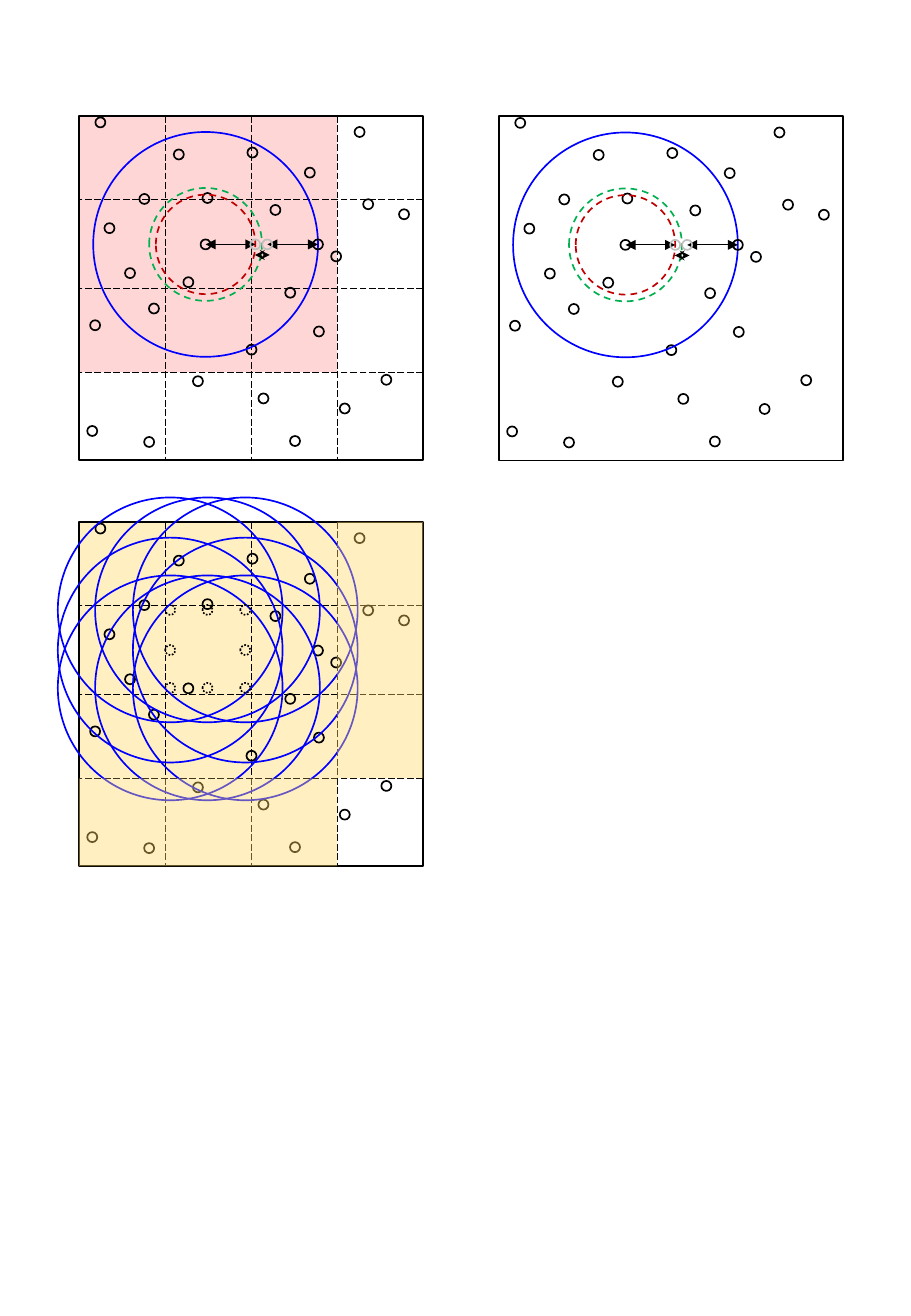
from pptx import Presentation
from pptx.dml.color import RGBColor
from pptx.enum.dml import MSO_LINE
from pptx.enum.shapes import MSO_CONNECTOR, MSO_SHAPE
from pptx.oxml.ns import qn
from pptx.util import Cm, Pt
from lxml.etree import SubElement

# All lengths are centimetres; panel contents are relative to the panel's corner.
SIDE = 7.2
DOT = 0.21
CUTOFF = 4.7
COLUMNS = [SIDE / 4, SIDE / 2, SIDE * 3 / 4]
ROWS = [1.74, SIDE / 2, 5.36]
CENTRE = (2.65, 2.69)
NEIGHBOUR = (5.0, 2.69)
PROBES = [(3.69, 2.69), (3.94, 2.69)]
PARTICLES = [
    (4.42, 3.7), (1.37, 1.74), (1.57, 4.03), (3.63, 0.77), (6.43, 5.52),
    (6.05, 1.85), (2.29, 3.48), (3.61, 4.89), (4.11, 1.97), (0.45, 0.14),
    (0.34, 4.38), (5.87, 0.34), (5.38, 2.94), (6.8, 2.06), (5.02, 4.51),
    (5.56, 6.12), (3.86, 5.91), (1.47, 6.82), (0.28, 6.59), (2.49, 5.55),
    (1.07, 3.29), (2.69, 1.72), (2.09, 0.81), (0.64, 2.35), (4.83, 1.19),
    (4.52, 6.8),
]
GHOST_X = (1.91, 2.69, 3.48)
GHOST_Y = (1.84, 2.68, 3.47)
BLACK, BLUE, RED, GREEN, GREY = "000000", "0000FF", "C00000", "00B050", "BFBFBF"
PINK, YELLOW = "FF9999", "FFD966"


def rgb(hex_text):
    return RGBColor.from_string(hex_text)


def outline(line, color, width, dash=None):
    line.color.rgb = rgb(color)
    line.width = Pt(width)
    if dash is not None:
        line.dash_style = dash


def add_shape(grp, kind, x, y, w, h, color=None, dash=None, tint=None):
    """Add a shape with a 1 pt outline, or with a 40 % opaque tint."""
    sp = grp.shapes.add_shape(kind, Cm(x), Cm(y), Cm(w), Cm(h))
    sp.shadow.inherit = False
    if tint:
        sp.fill.solid()
        sp.fill.fore_color.rgb = rgb(tint)
        clr = sp._element.spPr.find(qn("a:solidFill")).find(qn("a:srgbClr"))
        SubElement(clr, qn("a:alpha")).set("val", "40000")
    else:
        sp.fill.background()
    if color:
        outline(sp.line, color, 1, dash)
    else:
        sp.line.fill.background()
    return sp


def add_circle(grp, box, centre, size, color, dash=None):
    x, y = (b + c - size / 2 for b, c in zip(box, centre))
    add_shape(grp, MSO_SHAPE.OVAL, x, y, size, size, color, dash)


def add_line(grp, box, start, end, dash=None, arrow=None):
    left, top = box
    cn = grp.shapes.add_connector(
        MSO_CONNECTOR.STRAIGHT, Cm(left + start[0]), Cm(top + start[1]),
        Cm(left + end[0]), Cm(top + end[1]))
    outline(cn.line, BLACK, 0.5, dash)
    if arrow:
        ln = cn._element.spPr.find(qn("a:ln"))
        for tag in ("a:headEnd", "a:tailEnd"):
            SubElement(ln, qn(tag)).set("type", arrow)
    SubElement(cn._element.spPr, qn("a:effectLst"))
    return cn


def add_tint(grp, box, x, y, w, h, color):
    add_shape(grp, MSO_SHAPE.RECTANGLE, box[0] + x, box[1] + y, w, h, tint=color)


def add_particles(grp, box):
    """Add the square frame with its particles and return the frame."""
    frame = add_shape(grp, MSO_SHAPE.RECTANGLE, *box, SIDE, SIDE, BLACK)
    for particle in PARTICLES:
        add_circle(grp, box, particle, DOT, BLACK)
    return frame


def add_grid(grp, box, frame):
    """Divide the frame into cells."""
    lines = [((x, 0), (x, SIDE), (0, 2)) for x in COLUMNS]
    lines += [((SIDE, y), (0, y), (3, 1)) for y in ROWS]
    for start, end, sites in lines:
        cn = add_line(grp, box, start, end, MSO_LINE.LONG_DASH)
        if SIDE / 2 in (start[0], start[1]):
            cn.begin_connect(frame, sites[0])
            cn.end_connect(frame, sites[1])


def add_search(grp, box):
    """Add the cutoff rings around the central particle and their distances."""
    add_circle(grp, box, CENTRE, 2.08, RED, MSO_LINE.DASH)
    add_line(grp, box, CENTRE, PROBES[0], arrow="triangle")
    add_circle(grp, box, CENTRE, DOT, BLACK)
    add_circle(grp, box, CENTRE, CUTOFF, BLUE)
    add_line(grp, box, PROBES[1], NEIGHBOUR, arrow="triangle")
    add_circle(grp, box, CENTRE, 2.36, GREEN, MSO_LINE.DASH)
    for probe in reversed(PROBES):
        add_circle(grp, box, probe, DOT, GREY)
    add_line(grp, box, (3.68, 2.91), (3.99, 2.91), arrow="stealth")
    add_circle(grp, box, NEIGHBOUR, DOT, BLACK)


def plain_panel(s, box):
    grp = s.shapes.add_group_shape()
    add_particles(grp, box)
    add_search(grp, box)


def cell_panel(s, box):
    grp = s.shapes.add_group_shape()
    add_tint(grp, box, 0, 0, COLUMNS[2], ROWS[2], PINK)
    frame = add_particles(grp, box)
    add_grid(grp, box, frame)
    add_search(grp, box)


def ghost_panel(s, box):
    """Show the cutoff from every extreme position within one cell."""
    grp = s.shapes.add_group_shape()
    x, y = COLUMNS[2], ROWS[2]
    add_tint(grp, box, 0, 0, x, y, YELLOW)
    frame = add_particles(grp, box)
    add_grid(grp, box, frame)
    add_circle(grp, box, NEIGHBOUR, DOT, BLACK)
    for i, ghost_x in enumerate(GHOST_X):
        for j, ghost_y in enumerate(GHOST_Y):
            if (i, j) != (1, 1):
                add_circle(grp, box, (ghost_x, ghost_y), CUTOFF, BLUE)
                add_circle(grp, box, (ghost_x, ghost_y), DOT, BLACK, MSO_LINE.ROUND_DOT)
    add_tint(grp, box, x, 0, SIDE - x, y, YELLOW)
    add_tint(grp, box, 0, y, x, SIDE - y, YELLOW)


def main():
    prs = Presentation()
    prs.slide_width, prs.slide_height = Cm(19.05), Cm(27.51)
    s = prs.slides.add_slide(prs.slide_layouts[6])
    plain_panel(s, (10.43, 2.43))
    cell_panel(s, (1.65, 2.42))
    ghost_panel(s, (1.65, 10.91))
    prs.save("out.pptx")


if __name__ == "__main__":
    main()
